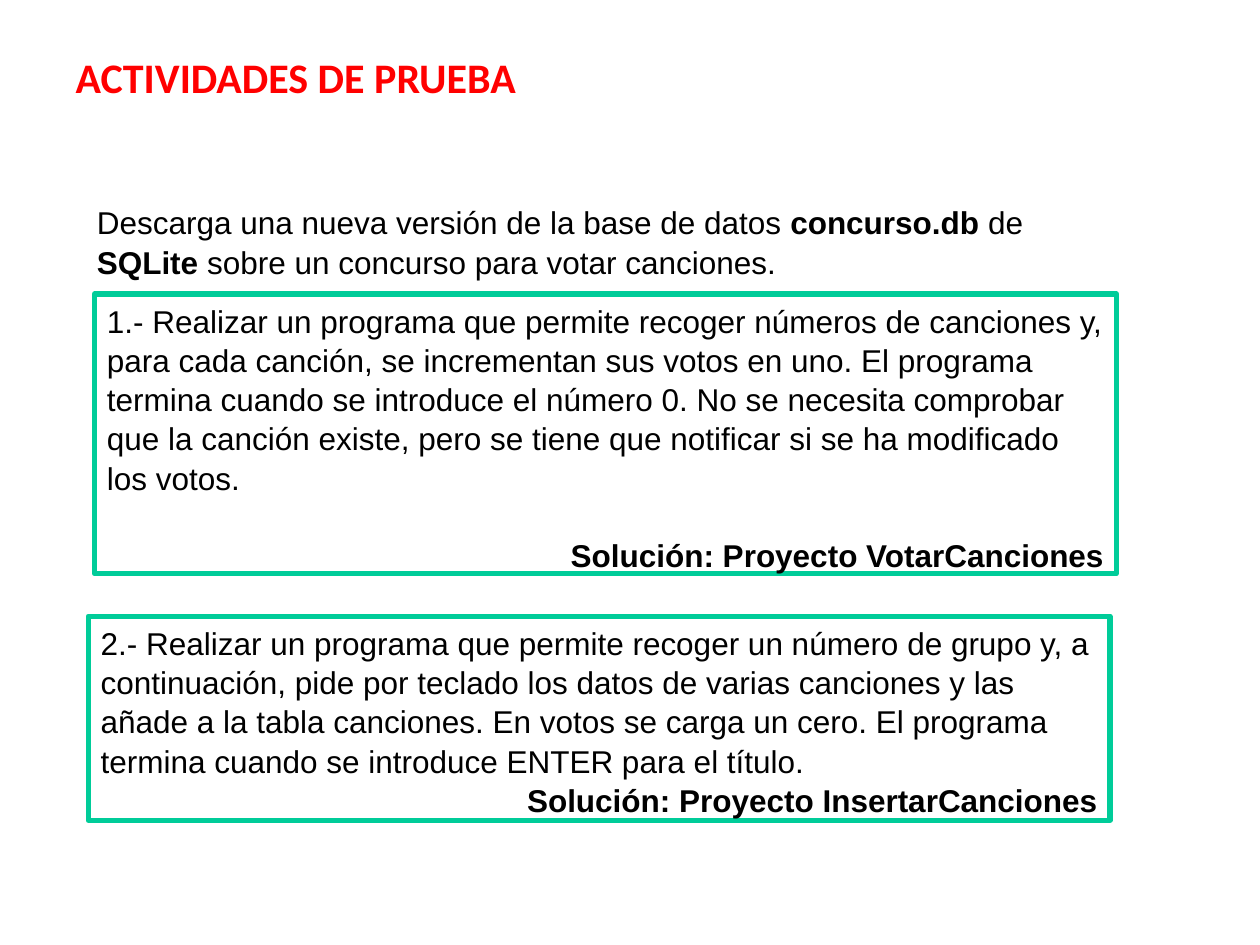
"""Builds the slide of practice activities on a song contest database."""
from typing import NamedTuple

from pptx import Presentation
from pptx.dml.color import RGBColor
from pptx.enum.shapes import MSO_SHAPE as Shape
from pptx.enum.text import MSO_ANCHOR as Anchor, PP_ALIGN as Align
from pptx.util import Inches, Pt

COLORS = {"title": "FF0000", "text": "000000", "frame": "00CC99"}
WIDTH, HEIGHT = Inches(10), Inches(7.5)
LINE_SPACING = 1.04


class Area(NamedTuple):
    """A place on the slide, as shares of its width and height."""
    left: float
    top: float
    width: float
    height: float

    def lengths(self) -> tuple[int, int, int, int]:
        return (int(self.left * WIDTH), int(self.top * HEIGHT),
                int(self.width * WIDTH), int(self.height * HEIGHT))


class Activity(NamedTuple):
    """A framed task with the project that solves it."""
    area: Area
    task: str
    project: str
    gap: float


TITLE_AREA = Area(0.05, 0.048, 0.9, 0.121)
INTRO_AREA = Area(0.067, 0.207, 0.819, 0.095)
INTRO = (
    ("Descarga una nueva versión de la base de datos ", False),
    ("concurso.db ", True),
    ("de ", False),
    ("SQLite ", True),
    ("sobre un concurso para votar canciones.", False),
)
ACTIVITIES = (
    Activity(
        Area(0.075, 0.311, 0.811, 0.296),
        "1.- Realizar un programa que permite recoger números de canciones y, "
        "para cada canción, se incrementan sus votos en uno. El programa termina "
        "cuando se introduce el número 0. No se necesita comprobar que la canción "
        "existe, pero se tiene que notificar si se ha modificado los votos.",
        "VotarCanciones", 21.6),
    Activity(
        Area(0.07, 0.652, 0.811, 0.216),
        "2.- Realizar un programa que permite recoger un número de grupo y, a "
        "continuación, pide por teclado los datos de varias canciones y las añade "
        "a la tabla canciones. En votos se carga un cero. El programa termina "
        "cuando se introduce ENTER para el título.",
        "InsertarCanciones", 0),
)


def color(name: str) -> RGBColor:
    return RGBColor.from_string(COLORS[name])


def style(paragraph, align=Align.LEFT, size: float = 18, face: str = "Arial",
          tone: str = "text", bold: bool = False) -> None:
    paragraph.alignment = align
    font = paragraph.font
    font.size, font.name, font.bold = Pt(size), face, bold
    font.color.rgb = color(tone)


def prepare(frame) -> None:
    frame.word_wrap = True
    frame.vertical_anchor = Anchor.TOP


def add_title(slide) -> None:
    title = slide.shapes.title
    title.left, title.top, title.width, title.height = TITLE_AREA.lengths()
    prepare(title.text_frame)
    title.text_frame.text = "ACTIVIDADES DE PRUEBA"
    style(title.text_frame.paragraphs[0], size=24, face="Calibri",
          tone="title", bold=True)


def add_intro(slide) -> None:
    frame = slide.shapes.add_textbox(*INTRO_AREA.lengths()).text_frame
    prepare(frame)
    sentence = frame.paragraphs[0]
    style(sentence)
    sentence.line_spacing = LINE_SPACING
    for words, bold in INTRO:
        run = sentence.add_run()
        run.text, run.font.bold = words, bold


def add_activity(slide, activity: Activity) -> None:
    box = slide.shapes.add_shape(Shape.RECTANGLE, *activity.area.lengths())
    box.shadow.inherit = False
    box.fill.background()
    box.line.color.rgb = color("frame")
    box.line.width = Pt(3)
    prepare(box.text_frame)
    task = box.text_frame.paragraphs[0]
    solution = box.text_frame.add_paragraph()
    task.text = activity.task
    solution.text = f"Solución: Proyecto {activity.project}"
    style(task)
    style(solution, Align.RIGHT, bold=True)
    solution.space_before = Pt(activity.gap)
    task.line_spacing = solution.line_spacing = LINE_SPACING


def main() -> None:
    deck = Presentation()
    deck.slide_width, deck.slide_height = WIDTH, HEIGHT
    slide = deck.slides.add_slide(deck.slide_layouts[5])
    add_title(slide)
    add_intro(slide)
    for activity in ACTIVITIES:
        add_activity(slide, activity)
    deck.save("out.pptx")


if __name__ == "__main__":
    main()
